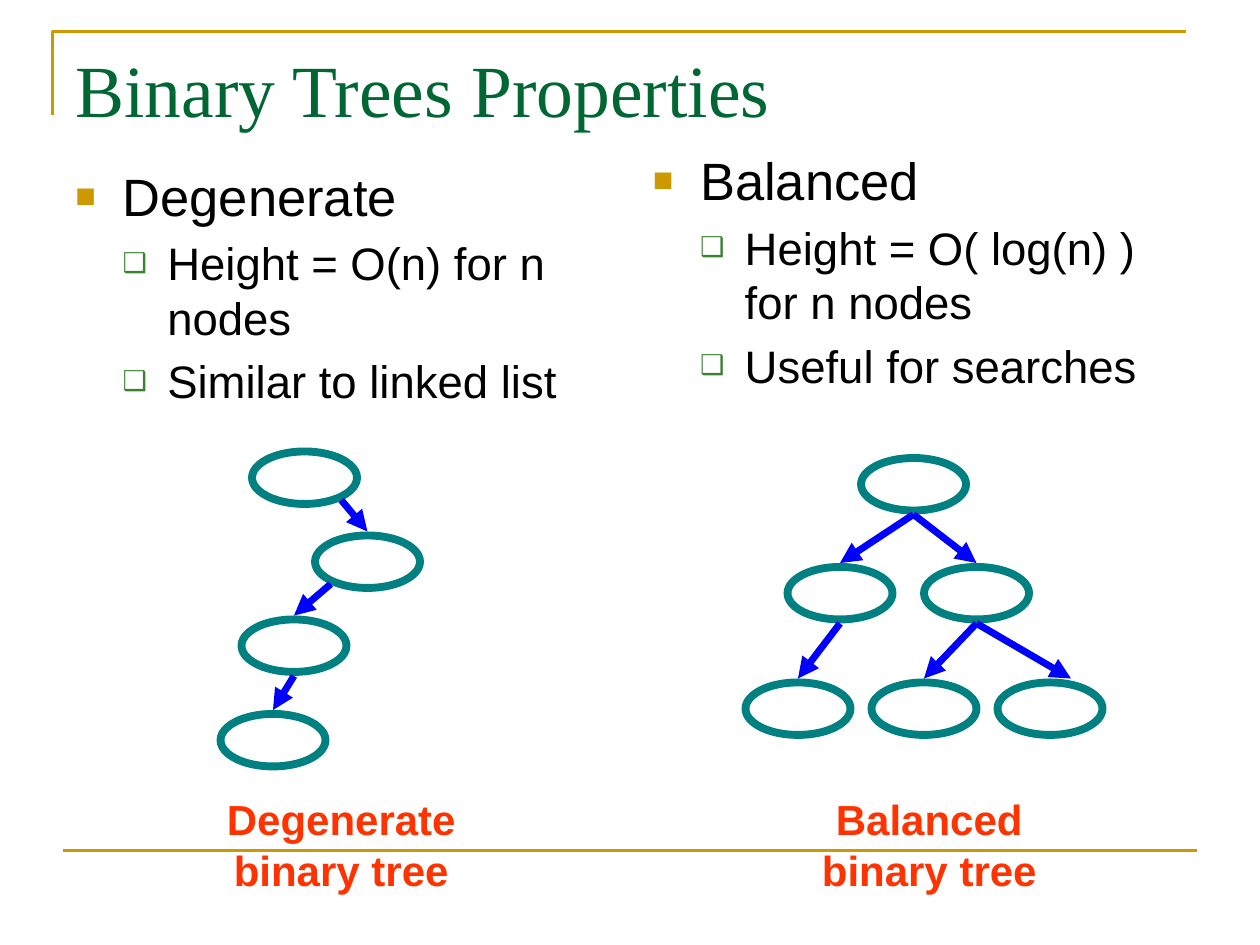
from lxml import etree
from pptx import Presentation, util as u
from pptx.dml.color import RGBColor
from pptx.enum import shapes, text
from pptx.oxml import ns

PX = 9525  # 96 px to the inch
GOLD = RGBColor(0xCC, 0x99, 0x00)
GREEN = RGBColor(0x00, 0x66, 0x33)
LEAF = RGBColor(0x3B, 0x81, 0x2F)
TEAL = RGBColor(0x00, 0x80, 0x80)
BLUE = RGBColor(0x00, 0x00, 0xFF)
RED = RGBColor(0xFF, 0x33, 0x00)
BLACK = RGBColor(0x00, 0x00, 0x00)

deck = Presentation()
deck.slide_width, deck.slide_height = 960 * PX, 720 * PX
slide = deck.slides.add_slide(deck.slide_layouts[5])
items = slide.shapes


def style(run, color, **form):
    run.font.color.rgb = color
    for key, val in form.items():
        setattr(run.font, key, val)


def link(ends, color, width, arrow=False):
    """Draw a straight line, with a triangle at its end if asked."""
    line = items.add_connector(shapes.MSO_CONNECTOR.STRAIGHT, *[n * PX for n in ends])
    line.line.color.rgb = color
    line.line.width = u.Pt(width)
    props = line._element.spPr
    if arrow:
        etree.SubElement(props.find(ns.qn("a:ln")), ns.qn("a:tailEnd"), type="triangle")
    etree.SubElement(props, ns.qn("a:effectLst"))


# Frame lines
path = items.build_freeform(40, 88, scale=PX)
path.add_line_segments([(40, 24), (904, 24)], close=False)
frame = path.convert_to_shape()
frame.shadow.inherit = False
frame.fill.background()
frame.line.color.rgb = GOLD
frame.line.width = u.Pt(1.5)
link((48, 648, 912, 648), GOLD, 1.5)

# Title
title = items.title
title.left, title.top, title.width, title.height = [n * PX for n in (48, 29, 864, 120)]
title.text_frame.text = "Binary Trees Properties"
title.text_frame.vertical_anchor = text.MSO_ANCHOR.TOP
head = title.text_frame.paragraphs[0]
head.alignment = text.PP_ALIGN.LEFT
style(head.runs[0], GREEN, name="Times New Roman", size=u.Pt(42))

# Bullet lists: mark, its colour and percent, text size, margin, hanging indent, gap
LEVELS = [
    ("■", GOLD, 65, 30, 36, 36, 6),
    ("❑", LEAF, 60, 26, 70, 34, 5),
]
LISTS = [
    ((48, 120, 420, 475),
     ["Degenerate", "Height = O(n) for n nodes", "Similar to linked list"]),
    ((488, 108, 401, 475),
     ["Balanced", "Height = O( log(n) ) for n nodes", "Useful for searches"]),
]
for place, rows in LISTS:
    body = items.add_textbox(*[n * PX for n in place]).text_frame
    body.word_wrap = True
    for i, row in enumerate(rows):
        level = min(i, 1)
        mark, tint, part, size, left, hang, gap = LEVELS[level]
        para = body.paragraphs[0] if i == 0 else body.add_paragraph()
        para.level = level
        para.space_before = u.Pt(gap)
        run = para.add_run()
        run.text = row
        style(run, BLACK, name="Arial", size=u.Pt(size))
        props = para._p.get_or_add_pPr()
        props.set("marL", str(left * PX))
        props.set("indent", str(-hang * PX))
        color = etree.SubElement(props, ns.qn("a:buClr"))
        etree.SubElement(color, ns.qn("a:srgbClr"), val=str(tint))
        etree.SubElement(props, ns.qn("a:buSzPct"), val=str(part * 1000))
        etree.SubElement(props, ns.qn("a:buFont"), typeface="Arial")
        etree.SubElement(props, ns.qn("a:buChar"), char=mark)

# Trees: nodes by left and top; edges as parent, child, start inside
# the parent's box, and sideways shift of the tip
WIDE, HIGH, GAP = 80, 40, 3
MID = (WIDE // 2, HIGH + GAP)
TREES = [
    ([(192, 344), (240, 408), (184, 472), (168, 544)],
     [(0, 1, (68, 37), 0), (1, 2, (12, 37), 0), (2, 3, MID, 0)],
     160, "Degenerate binary tree"),
    ([(656, 349), (600, 432), (704, 432), (568, 520), (664, 520), (760, 520)],
     [(0, 1, MID, 0), (0, 2, MID, 0), (1, 3, MID, 0), (2, 4, MID, 0), (2, 5, MID, 16)],
     608, "Balanced binary tree"),
]
for nodes, edges, left, label in TREES:
    for x, y in nodes:
        node = items.add_shape(shapes.MSO_SHAPE.OVAL, x * PX, y * PX, WIDE * PX, HIGH * PX)
        node.shadow.inherit = False
        node.fill.background()
        node.line.color.rgb = TEAL
        node.line.width = u.Pt(4.5)
    for top, low, (dx, dy), shift in edges:
        (x, y), (tip, end) = nodes[top], nodes[low]
        link((x + dx, y + dy, tip + WIDE // 2 + shift, end - GAP), BLUE, 4, arrow=True)
    note = items.add_textbox(left * PX, 600 * PX, 200 * PX, 86 * PX).text_frame
    note.word_wrap = True
    note.text = label
    note.paragraphs[0].alignment = text.PP_ALIGN.CENTER
    style(note.paragraphs[0].runs[0], RED, name="Arial", size=u.Pt(24), bold=True)

deck.save("out.pptx")
